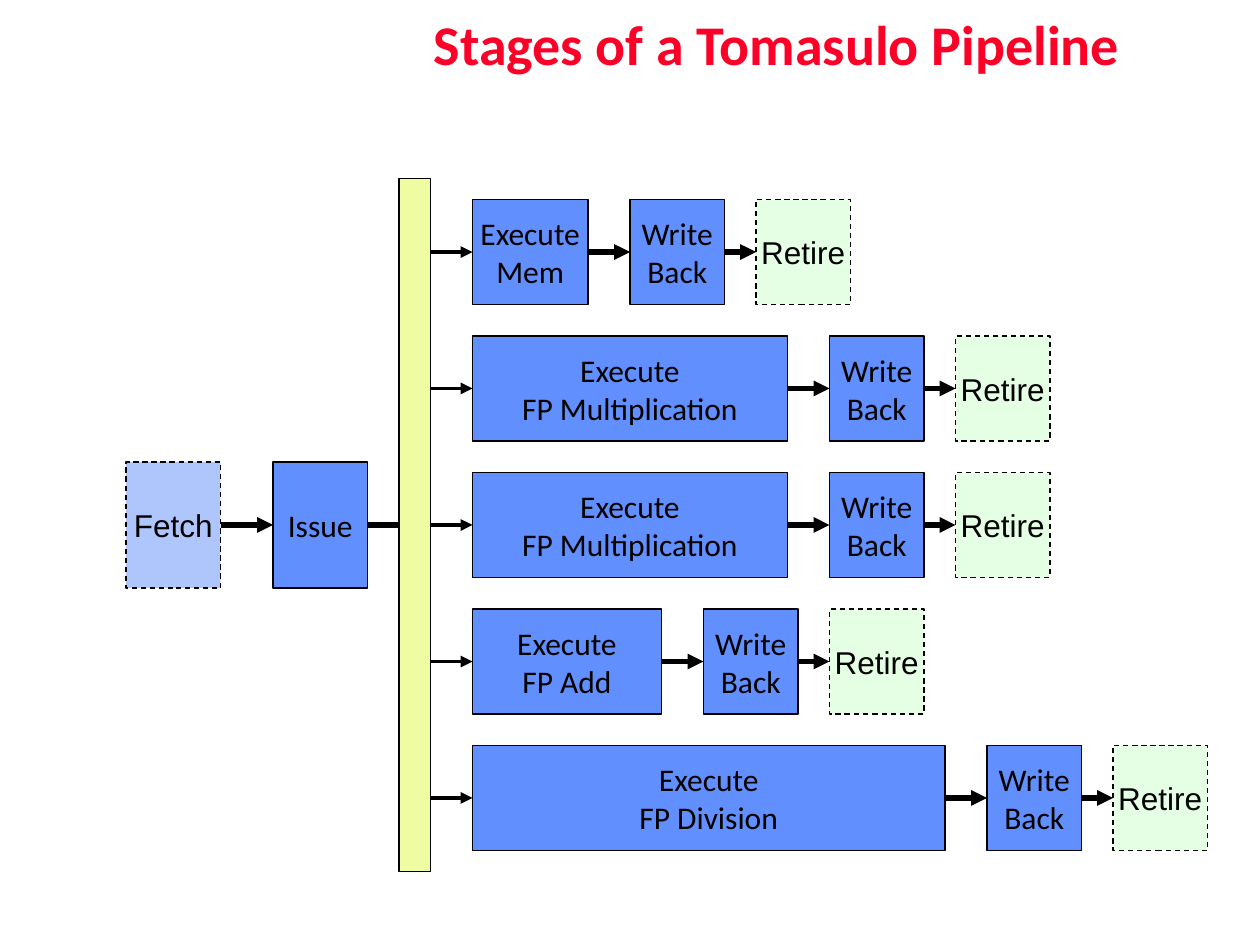
from dataclasses import dataclass
from typing import Optional

from lxml.etree import SubElement
from pptx import Presentation
from pptx.dml.color import RGBColor
from pptx.enum.dml import MSO_LINE_DASH_STYLE as Dash
from pptx.enum.shapes import MSO_CONNECTOR as Connector, MSO_SHAPE as Shape
from pptx.enum.text import MSO_ANCHOR as Anchor, PP_ALIGN as Align
from pptx.oxml.ns import qn
from pptx.util import Inches, Pt

COLUMNS, ROWS = 120, 90
COLORS = {
    "ink": "000000",
    "title": "FC0128",
    "stage": "618FFD",
    "retire": "CCFFCC",
    "bus": "EFFCA2",
}
RIGHT, LEFT = 3, 1
BUS_CENTER = 50
BUS_EXIT = 40
EXECUTE_COLUMN = 45
STAGE_WIDTH = 9
UNIT_HEIGHT = 10
FIRST_UNIT_ROW, UNIT_PITCH = 24, 13
WRITE_GAP, RETIRE_GAP = 4, 3


@dataclass(frozen=True)
class Stage:
    lines: tuple[str, ...]
    column: float
    center_row: float
    width: float
    height: float
    color: str = "stage"
    optional: bool = False


@dataclass(frozen=True)
class FunctionalUnit:
    operation: str
    width: float


UNITS = (
    FunctionalUnit("Mem", 11),
    FunctionalUnit("FP Multiplication", 30),
    FunctionalUnit("FP Multiplication", 30),
    FunctionalUnit("FP Add", 18),
    FunctionalUnit("FP Division", 45),
)

deck = Presentation()
deck.slide_width, deck.slide_height = Inches(10), Inches(7.5)
slide = deck.slides.add_slide(deck.slide_layouts[6])


def across(columns: float) -> int:
    return round(deck.slide_width * columns / COLUMNS)


def down(rows: float) -> int:
    return round(deck.slide_height * rows / ROWS)


def rgb(name: str) -> RGBColor:
    return RGBColor.from_string(COLORS[name])


def write_line(paragraph, text: str, size: float, font: str, color: str, bold: bool = False) -> None:
    paragraph.alignment = Align.CENTER
    run = paragraph.add_run()
    run.text = text
    run.font.size, run.font.name, run.font.bold = Pt(size), font, bold
    run.font.color.rgb = rgb(color)


def draw_stage(stage: Stage):
    box = slide.shapes.add_shape(
        Shape.RECTANGLE, across(stage.column), down(stage.center_row - stage.height / 2),
        across(stage.width), down(stage.height))
    box.shadow.inherit = False
    box.fill.solid()
    box.fill.fore_color.rgb = rgb(stage.color)
    box.line.color.rgb = rgb("ink")
    box.line.width = Pt(0.75)
    if stage.optional:
        box.line.dash_style = Dash.DASH
        tint = box.fill._xPr.find(qn("a:solidFill"))[0]
        SubElement(tint, qn("a:alpha"), val="50000")
    frame = box.text_frame
    frame.word_wrap = False
    frame.vertical_anchor = Anchor.MIDDLE
    frame.margin_left = frame.margin_right = Inches(0.05)
    frame.margin_top = frame.margin_bottom = Inches(0.1)
    for index, text in enumerate(stage.lines):
        paragraph = frame.add_paragraph() if index else frame.paragraphs[0]
        write_line(paragraph, text, 18, "Arial" if stage.optional else "Calibri", "ink")
    return box


def draw_arrow(row: float, source: Optional[object] = None, target: Optional[object] = None,
               weight: float = 3) -> None:
    bus_exit = across(BUS_EXIT)
    arrow = slide.shapes.add_connector(Connector.STRAIGHT, bus_exit, down(row), bus_exit, down(row))
    if source is not None:
        arrow.begin_connect(source, RIGHT)
    if target is not None:
        arrow.end_connect(target, LEFT)
    arrow.line.color.rgb = rgb("ink")
    arrow.line.width = Pt(weight)
    SubElement(arrow.line._get_or_add_ln(), qn("a:tailEnd"), type="triangle")
    SubElement(arrow._element.spPr, qn("a:effectLst"))


def draw_unit(unit: FunctionalUnit, row: float) -> None:
    write_column = EXECUTE_COLUMN + unit.width + WRITE_GAP
    retire_column = write_column + STAGE_WIDTH + RETIRE_GAP
    execute = draw_stage(Stage(("Execute", unit.operation), EXECUTE_COLUMN, row, unit.width, UNIT_HEIGHT))
    write_back = draw_stage(Stage(("Write", "Back"), write_column, row, STAGE_WIDTH, UNIT_HEIGHT))
    retire = draw_stage(Stage(("Retire",), retire_column, row, STAGE_WIDTH, UNIT_HEIGHT, "retire", True))
    draw_arrow(row, target=execute, weight=2.25)
    draw_arrow(row, execute, write_back)
    draw_arrow(row, write_back, retire)


def draw_title(text: str) -> None:
    heading = slide.shapes.add_textbox(across(28), 0, across(92), down(9))
    frame = heading.text_frame
    frame.word_wrap = True
    frame.vertical_anchor = Anchor.MIDDLE
    frame.paragraphs[0].line_spacing = 0.9
    write_line(frame.paragraphs[0], text, 32, "Calibri", "title", bold=True)


def main() -> None:
    draw_title("Stages of a Tomasulo Pipeline")
    fetch = draw_stage(Stage(("Fetch",), 12, BUS_CENTER, STAGE_WIDTH, 12, optional=True))
    issue = draw_stage(Stage(("Issue",), 26, BUS_CENTER, STAGE_WIDTH, 12))
    draw_arrow(BUS_CENTER, fetch, issue)
    draw_arrow(BUS_CENTER, issue)
    for index, unit in enumerate(UNITS):
        draw_unit(unit, FIRST_UNIT_ROW + index * UNIT_PITCH)
    draw_stage(Stage((), 38, BUS_CENTER, 3, 66, "bus"))
    deck.save("out.pptx")


if __name__ == "__main__":
    main()
